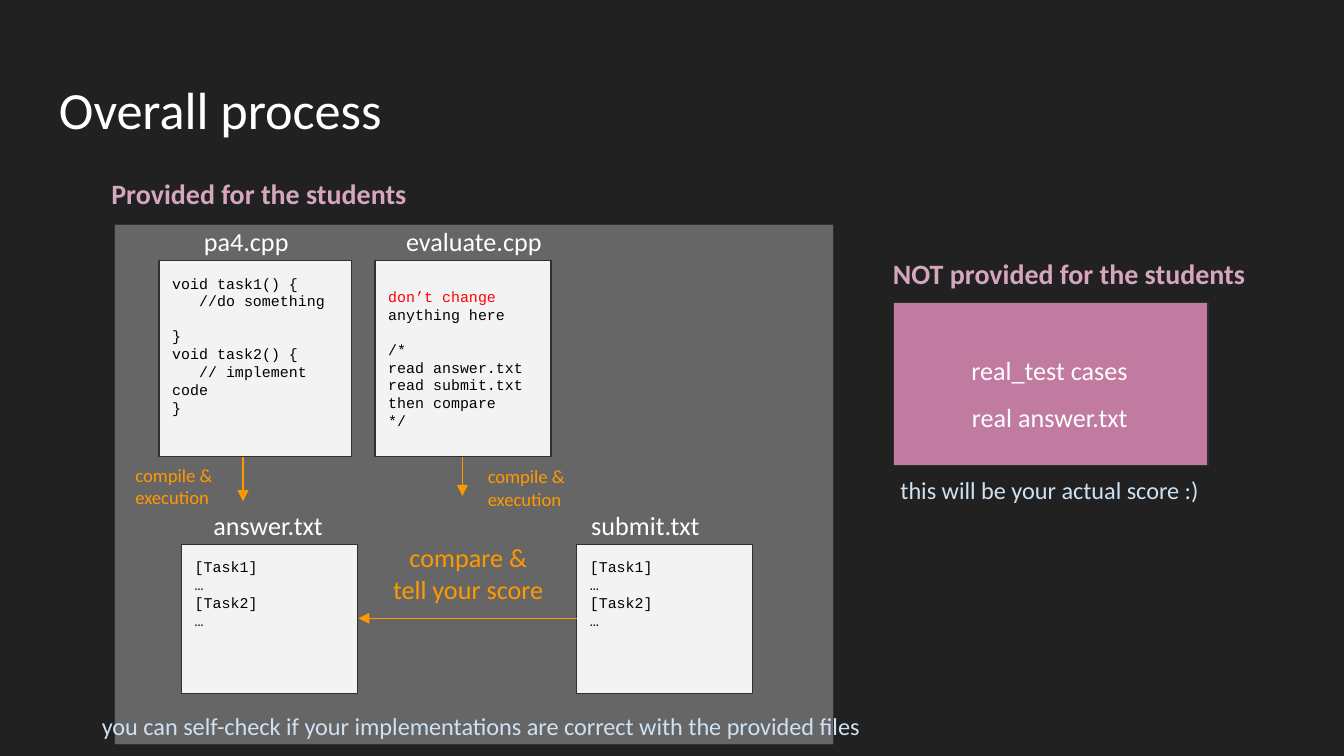
from lxml import etree
from pptx import Presentation
from pptx.dml.color import RGBColor
from pptx.enum.shapes import MSO_CONNECTOR, MSO_SHAPE
from pptx.enum.text import MSO_ANCHOR, PP_ALIGN
from pptx.oxml.ns import qn
from pptx.util import Pt

RECT, LINE = MSO_SHAPE.RECTANGLE, MSO_CONNECTOR.STRAIGHT
TOP, MID = MSO_ANCHOR.TOP, MSO_ANCHOR.MIDDLE
LEFT, MIDDLE = PP_ALIGN.LEFT, PP_ALIGN.CENTER
SANS, MONO = "Calibri", "Courier New"
INK = {
    "back": "212121", "panel": "666666", "paper": "F3F3F3", "edge": "303030",
    "rose": "C27BA0", "pink": "D5A6BD", "sky": "CFE2F3", "flow": "FF9900",
    "white": "FFFFFF", "black": "000000", "red": "FF0000",
}
PAD = 7.2     # text inset
ROW = 9       # height of one code line
TAB = 14.4    # three code characters


def rgb(name):
    return RGBColor.from_string(INK[name])


def style(font, size, ink, face=SANS, bold=False):
    font.size, font.name, font.bold = Pt(size), face, bold
    font.color.rgb = rgb(ink)


def frame(shape, anchor=TOP):
    body = shape.text_frame
    body.word_wrap = True
    body.vertical_anchor = anchor
    body.margin_left = body.margin_right = Pt(PAD)
    body.margin_top = body.margin_bottom = Pt(PAD)
    return body


def rows(body, count):
    return [body.paragraphs[0]] + [body.add_paragraph() for _ in range(count - 1)]


def text(slide, box, lines, size, ink, align=LEFT, bold=False, anchor=TOP, space=None):
    shape = slide.shapes.add_textbox(*map(Pt, box))
    body = frame(shape, anchor)
    for para, line in zip(rows(body, len(lines)), lines):
        para.text, para.alignment = line, align
        style(para.font, size, ink, bold=bold)
        if space:
            para.line_spacing = space


def block(slide, box, fill):
    shape = slide.shapes.add_shape(RECT, *map(Pt, box))
    shape.shadow.inherit = False
    shape.fill.solid()
    shape.fill.fore_color.rgb = rgb(fill)
    shape.line.color.rgb = rgb("edge")
    shape.line.width = Pt(0.75)
    return shape


def arrow(slide, x1, y1, x2, y2):
    line = slide.shapes.add_connector(LINE, Pt(x1), Pt(y1), Pt(x2), Pt(y2))
    line.line.color.rgb = rgb("flow")
    line.line.width = Pt(0.75)
    etree.SubElement(line.line._get_or_add_ln(), qn("a:tailEnd"), type="triangle")
    etree.SubElement(line._element.spPr, qn("a:effectLst"))


def sheet(slide, box, name, span, code, align=LEFT, anchor=TOP):
    """A file: its name above a page of code; span is the name's offset and width.

    Each code line is (runs, first-line indent, rows left free below)."""
    x, y, _, _ = box
    shift, width = span
    text(slide, (x + shift, y - 26, width, 15), [name], 14, "white", align)
    body = frame(block(slide, box, "paper"), anchor)
    for para, (runs, indent, free) in zip(rows(body, len(code)), code):
        para.alignment = LEFT
        para.space_after = Pt(free * ROW)
        para._p.get_or_add_pPr().set("indent", str(Pt(indent)))
        style(para.font, 8, "black", MONO)
        for words, ink in runs:
            run = para.add_run()
            run.text = words
            style(run.font, 8, ink, MONO)


def plain(words, indent=0, free=0):
    return [(words, "black")], indent, free


def given(slide, box):
    """Files the students get, and the flow between them."""
    x, y, w, h = box
    block(slide, box, "panel")
    text(slide, (x - 8.6, y - 33, 211, 31.7), ["Provided for the students"],
         15, "pink", bold=True)

    # Source files
    task = [plain("void task1() {"), plain("//do something", TAB, 1), plain("}"),
            plain("void task2() {"), plain("// implement code", TAB), plain("}")]
    check = [([("don’t change ", "red"), ("anything here", "black")], 0, 1)]
    check += [plain(words) for words in
              ("/*", "read answer.txt", "read submit.txt", "then compare", "*/")]
    sheet(slide, (x + 24, y + 19.5, 103, 105), "pa4.cpp", (-9.4, 112.3), task, MIDDLE)
    sheet(slide, (x + 139.7, y + 19.5, 94.3, 105), "evaluate.cpp", (-18.7, 143.3),
          check, MIDDLE, MID)

    # Output files
    out = [plain(words) for words in ("[Task1]", "…", "[Task2]", "…")]
    for left, name, span in ((36, "answer.txt", (10, 93)),
                             (247.7, "submit.txt", (0.7, 129))):
        sheet(slide, (x + left, y + 171.4, 94.3, 80), name, span, out)

    # Compile steps
    for left, top, wide, mid, end in ((4.3, 121, 64.8, 69, 148.4),
                                      (193, 121.7, 70.6, 186.5, 145.5)):
        text(slide, (x + left, y + top, wide, 28.8), ["compile & execution"], 10, "flow")
        arrow(slide, x + mid, y + 124.5, x + mid, y + end)

    # Comparison
    text(slide, (x + 131, y + 162.8, 117.4, 60.5), ["compare &", "tell your score"],
         14, "flow", MIDDLE)
    arrow(slide, x + 247.7, y + 211, x + 130.8, y + 211)
    text(slide, (x - 25.2, y + h - 25.1, w + 57.6, 24.5),
         ["you can self-check if your implementations are correct with the provided files"],
         13, "sky", MIDDLE)


def hidden(slide, box):
    """Files kept for the final grading."""
    x, y, w, h = box
    block(slide, box, "rose")
    text(slide, (x - 11.5, y - 31.7, 211, 31.7), ["NOT provided for the students"],
         15, "pink", MIDDLE, bold=True)
    text(slide, (x + 23.8, y + 12.2, 119.5, 62), ["real_test cases", "real answer.txt"],
         14, "white", MIDDLE, space=1.5)
    text(slide, (x - 16.6, y + h - 2, 200, 35), ["this will be your actual score :)"],
         13, "sky", MIDDLE)


def main():
    deck = Presentation()
    deck.slide_width, deck.slide_height = Pt(720), Pt(405)
    slide = deck.slides.add_slide(deck.slide_layouts[6])
    slide.background.fill.solid()
    slide.background.fill.fore_color.rgb = rgb("back")
    text(slide, (24.5, 35.3, 671, 45.4), ["Overall process"], 28, "white", anchor=MID)
    given(slide, (61.2, 120.2, 385.2, 278.6))
    hidden(slide, (478.8, 162, 168.5, 87.5))
    deck.save("out.pptx")


if __name__ == "__main__":
    main()
